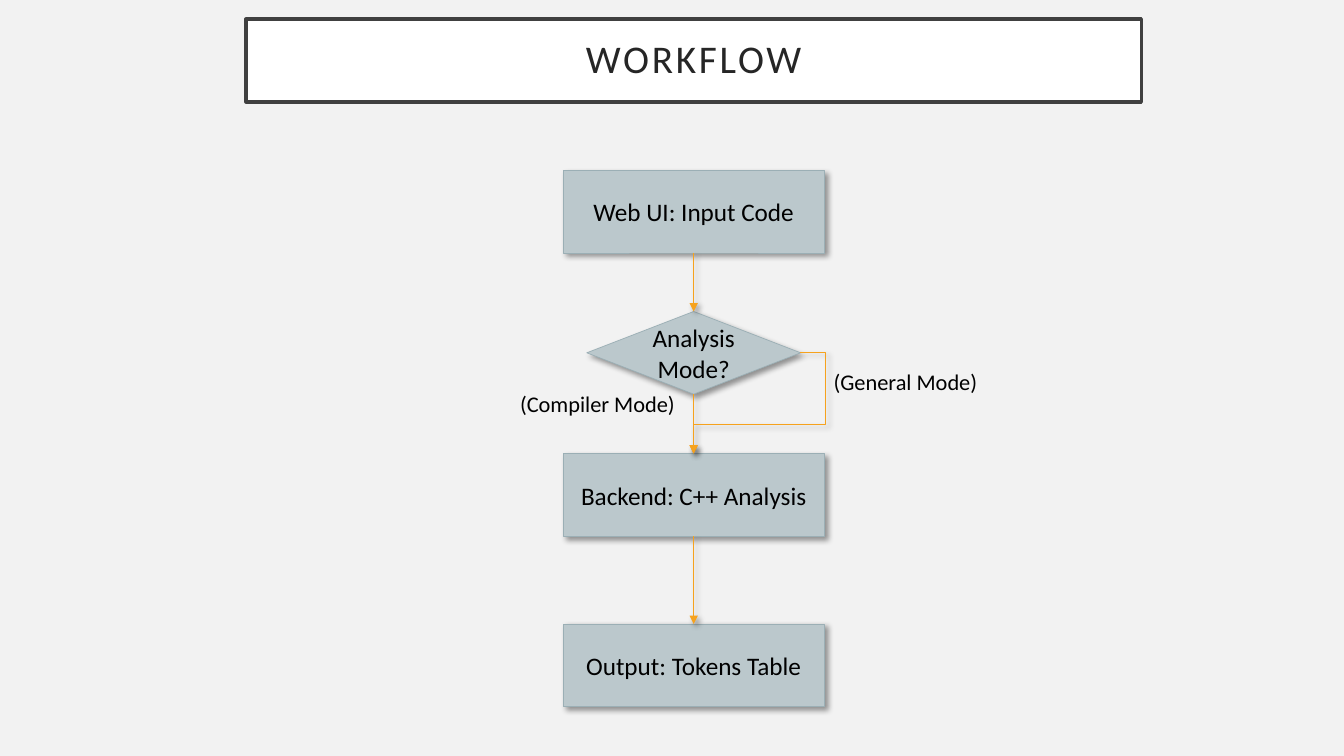
from lxml import etree
from pptx import Presentation
from pptx.dml.color import RGBColor
from pptx.enum import shapes, text
from pptx.oxml import ns
from pptx.util import Inches, Pt

PAPER = RGBColor(0xF2, 0xF2, 0xF2)
WHITE = RGBColor(0xFF, 0xFF, 0xFF)
BLACK = RGBColor(0, 0, 0)
INK = RGBColor(0x26, 0x26, 0x26)
FRAME = RGBColor(0x40, 0x40, 0x40)
MIST = RGBColor(0xBB, 0xC8, 0xCC)
STEEL = RGBColor(0xB8, 0xC6, 0xCB)
EDGE = RGBColor(0x9B, 0xAF, 0xB5)
AMBER = RGBColor(0xF6, 0xA2, 0x1D)

RECT = shapes.MSO_SHAPE.RECTANGLE
CHOICE = shapes.MSO_SHAPE.FLOWCHART_DECISION
LINE = shapes.MSO_CONNECTOR.STRAIGHT
ELBOW = shapes.MSO_CONNECTOR.ELBOW
TOP, BOTTOM, RIGHT = 0, 2, 3
MID = 6.88
HIGH = 0.82


def apply(target, **values):
    for name, value in values.items():
        setattr(target, name, value)


def add(parent, tag, **attrs):
    return etree.SubElement(parent, ns.qn(tag), {k: str(v) for k, v in attrs.items()})


def stroke(shape, color, width):
    shape.line.color.rgb = color
    shape.line.width = Pt(width)


def shade(shape):
    effects = add(shape.element.spPr, "a:effectLst")
    shadow = add(effects, "a:outerShdw", blurRad=Pt(4), dist=Pt(3),
                 dir=45 * 60000, algn="tl", rotWithShape=0)
    color = add(shadow, "a:srgbClr", val=BLACK)
    add(color, "a:alpha", val=40000)


def write(shape, words, size, color=BLACK, align=text.PP_ALIGN.CENTER):
    para = shape.text_frame.paragraphs[0]
    para.alignment = align
    run = para.add_run()
    run.text = words
    apply(run.font, name="Calibri", size=Pt(size))
    run.font.color.rgb = color
    return para


def banner(slide, words):
    box = slide.shapes.add_shape(RECT, Inches(2.44), Inches(0.19), Inches(8.88), Inches(HIGH))
    box.shadow.inherit = False
    box.fill.solid()
    box.fill.fore_color.rgb = WHITE
    stroke(box, FRAME, 2.5)
    sides = ("left", "top", "right", "bottom")
    apply(box.text_frame, word_wrap=True, vertical_anchor=text.MSO_ANCHOR.MIDDLE,
          **{f"margin_{side}": Inches(0.2) for side in sides})
    para = write(box, words, 28, INK)
    para.line_spacing = 0.9
    para.runs[0].font._element.set("spc", "200")


def node(slide, words, top, width=2.59, kind=RECT):
    box = slide.shapes.add_shape(kind, Inches(MID - width / 2), Inches(top),
                                 Inches(width), Inches(HIGH))
    box.fill.gradient()
    box.fill.gradient_angle = 270
    for stop, color in zip(box.fill.gradient_stops, (MIST, STEEL)):
        stop.color.rgb = color
    stroke(box, EDGE, 0.5)
    shade(box)
    apply(box.text_frame, word_wrap=True, vertical_anchor=text.MSO_ANCHOR.MIDDLE)
    write(box, words, 18)
    return box


def arrow(slide, start, end, site=BOTTOM, bends=()):
    link = slide.shapes.add_connector(ELBOW if bends else LINE, 0, 0, 0, 0)
    link.begin_connect(start, site)
    link.end_connect(end, TOP)
    if bends:
        shape = link.element.spPr.find(ns.qn("a:prstGeom"))
        shape.set("prst", "bentConnector4")
        for old in list(shape):
            shape.remove(old)
        guides = add(shape, "a:avLst")
        for index, bend in enumerate(bends, 1):
            add(guides, "a:gd", name=f"adj{index}", fmla=f"val {bend}")
    stroke(link, AMBER, 0.5)
    add(link.line._get_or_add_ln(), "a:tailEnd", type="triangle")
    shade(link)


def label(slide, words, left, top, width):
    box = slide.shapes.add_textbox(Inches(left), Inches(top), Inches(width), Inches(0.37))
    apply(box.text_frame, word_wrap=True, auto_size=text.MSO_AUTO_SIZE.SHAPE_TO_FIT_TEXT)
    write(box, words, 16, align=text.PP_ALIGN.LEFT)


def main():
    deck = Presentation()
    apply(deck, slide_width=Inches(13.33), slide_height=Inches(7.5))
    slide = deck.slides.add_slide(deck.slide_layouts[6])
    slide.background.fill.solid()
    slide.background.fill.fore_color.rgb = PAPER

    banner(slide, "WORKFLOW")
    entry = node(slide, "Web UI: Input Code", 1.69)
    backend = node(slide, "Backend: C++ Analysis", 4.5)
    output = node(slide, "Output: Tokens Table", 6.19)
    mode = node(slide, "Analysis Mode?", 3.09, 2.12, CHOICE)

    for start, end in ((entry, mode), (mode, backend), (backend, output)):
        arrow(slide, start, end)
    arrow(slide, mode, backend, RIGHT, (-23600, 70800))

    label(slide, "(General Mode)", 8.17, 3.6, 1.69)
    label(slide, "(Compiler Mode)", 5.06, 3.82, 1.82)
    deck.save("out.pptx")


if __name__ == "__main__":
    main()
